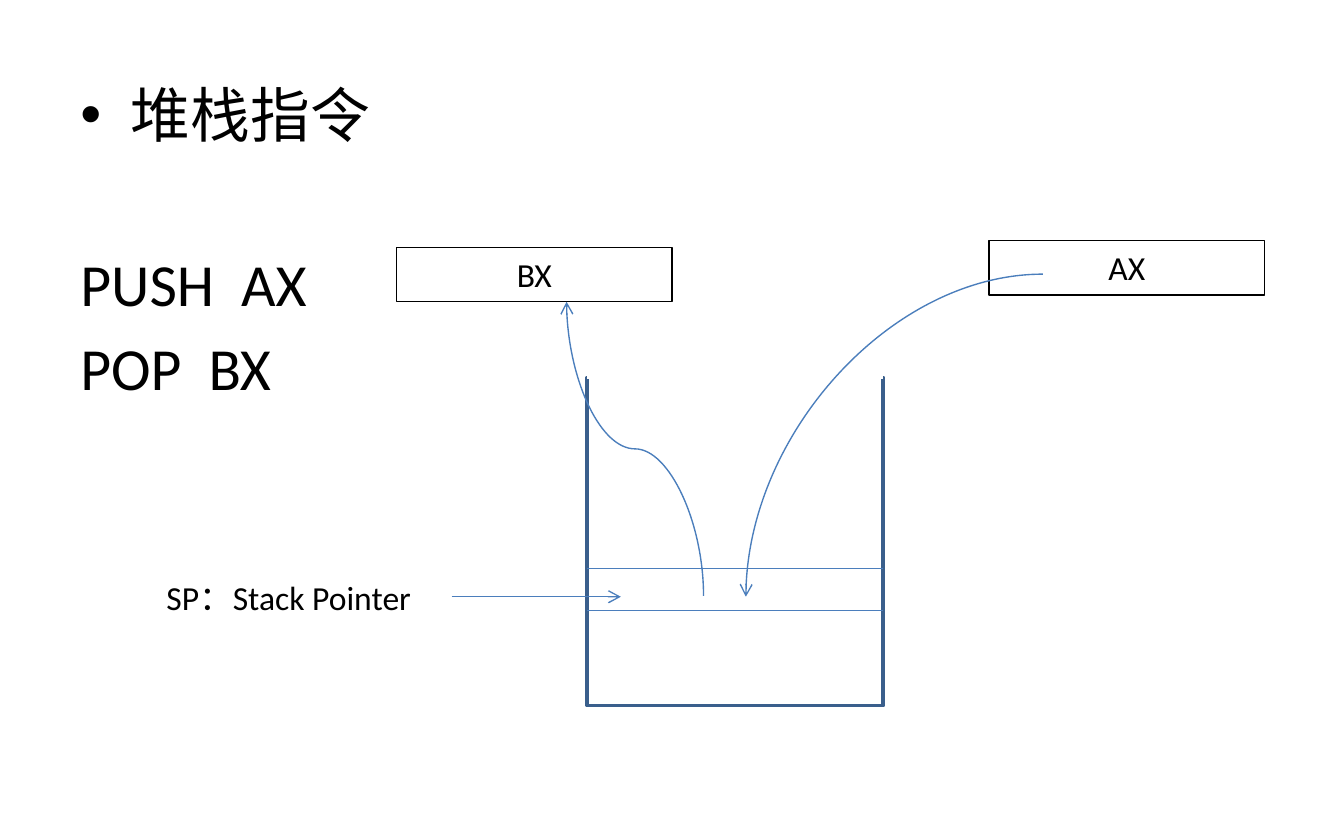
from lxml import etree
from pptx import Presentation
from pptx.dml.color import RGBColor
from pptx.enum import shapes, text
from pptx.oxml.ns import qn
from pptx.util import Pt

INK = {"text": "000000", "wall": "3A5F8C", "line": "4B7EBC", "open": "FFFFFF"}
FONT = "Calibri"

# text, space before, bullet
BODY = [("堆栈指令", 6.4, "•"), ("PUSH  AX", 52, None), ("POP  BX", 6.4, None)]
BODY_BOX = (36, 38.2, 648, 364.3)
LABEL, LABEL_BOX = "SP：Stack Pointer", (82.1, 305.3, 177.1, 29.1)
REGS = [("AX", 529.9, 128.9), ("BX", 212.4, 132.5)]
REG_W, REG_H = 147.6, 29.1

LEFT, TOP, WIDE, HIGH = 314.6, 202.3, 158.6, 175.7
RIGHT = LEFT + WIDE
CELL = (304.6, 326.9)  # top and bottom of the stack cell
MID = 319.7

LINE, CURVE = shapes.MSO_CONNECTOR.STRAIGHT, shapes.MSO_CONNECTOR.CURVE


def color(key):
    """Return a palette colour."""
    return RGBColor.from_string(INK[key])


def write(par, words, size):
    """Add one run of text to a paragraph."""
    run = par.add_run()
    run.text = words
    run.font.size, run.font.name = Pt(size), FONT
    run.font.color.rgb = color("text")


def label(box):
    """Add a wrapping text box."""
    item = slide.shapes.add_textbox(*map(Pt, box))
    item.text_frame.word_wrap = True
    return item


def link(start, end, kind=LINE, key="line", width=0.75, arrow=False):
    """Draw a connector, with an open arrowhead if asked."""
    item = slide.shapes.add_connector(kind, *map(Pt, start + end))
    item.line.color.rgb, item.line.width = color(key), Pt(width)
    props = item._element.spPr
    if arrow:
        etree.SubElement(props.find(qn("a:ln")), qn("a:tailEnd"), type="arrow")
    etree.SubElement(props, qn("a:effectLst"))
    return props


def body():
    """Write the heading and the two instructions."""
    frame = label(BODY_BOX).text_frame
    for i, (words, gap, mark) in enumerate(BODY):
        par = frame.paragraphs[0] if i == 0 else frame.add_paragraph()
        par.space_before = Pt(gap)
        write(par, words, 32)
        if mark:
            props = par._p.get_or_add_pPr()
            props.set("marL", str(Pt(27)))
            props.set("indent", str(Pt(-27)))
            etree.SubElement(props, qn("a:buFont"), typeface="Arial")
            etree.SubElement(props, qn("a:buChar"), char=mark)


def stack():
    """Draw the stack, open at the top, with one cell."""
    box = slide.shapes.add_shape(shapes.MSO_SHAPE.RECTANGLE,
                                 *map(Pt, (LEFT, TOP, WIDE, HIGH)))
    box.shadow.inherit = False
    box.fill.background()
    box.line.color.rgb, box.line.width = color("wall"), Pt(2)
    link((LEFT, TOP), (RIGHT, TOP), key="open", width=2)
    for y in CELL:
        link((LEFT, y), (RIGHT, y))


def regs():
    """Draw the two registers."""
    for name, x, y in REGS:
        box = label((x, y, REG_W, REG_H))
        box.line.color.rgb, box.line.width = color("text"), Pt(0.75)
        par = box.text_frame.paragraphs[0]
        par.alignment = text.PP_ALIGN.CENTER
        write(par, name, 18)


def arrows():
    """Draw the push, pop and pointer arrows."""
    push = link((558.7, 146.9), (399.6, MID), CURVE, arrow=True)
    push.find(qn("a:prstGeom")).set("prst", "curvedConnector2")
    # The pop curve is laid flat, then turned upright.
    pop = link((261.4, 277.2), (419, 203.8), CURVE, arrow=True)
    pop.find(qn("a:xfrm")).set("rot", str(270 * 60000))
    link((241.9, MID), (332.6, MID), arrow=True)


deck = Presentation()
deck.slide_width, deck.slide_height = Pt(720), Pt(450)
slide = deck.slides.add_slide(deck.slide_layouts[6])
body()
stack()
regs()
arrows()
write(label(LABEL_BOX).text_frame.paragraphs[0], LABEL, 18)
deck.save("out.pptx")
